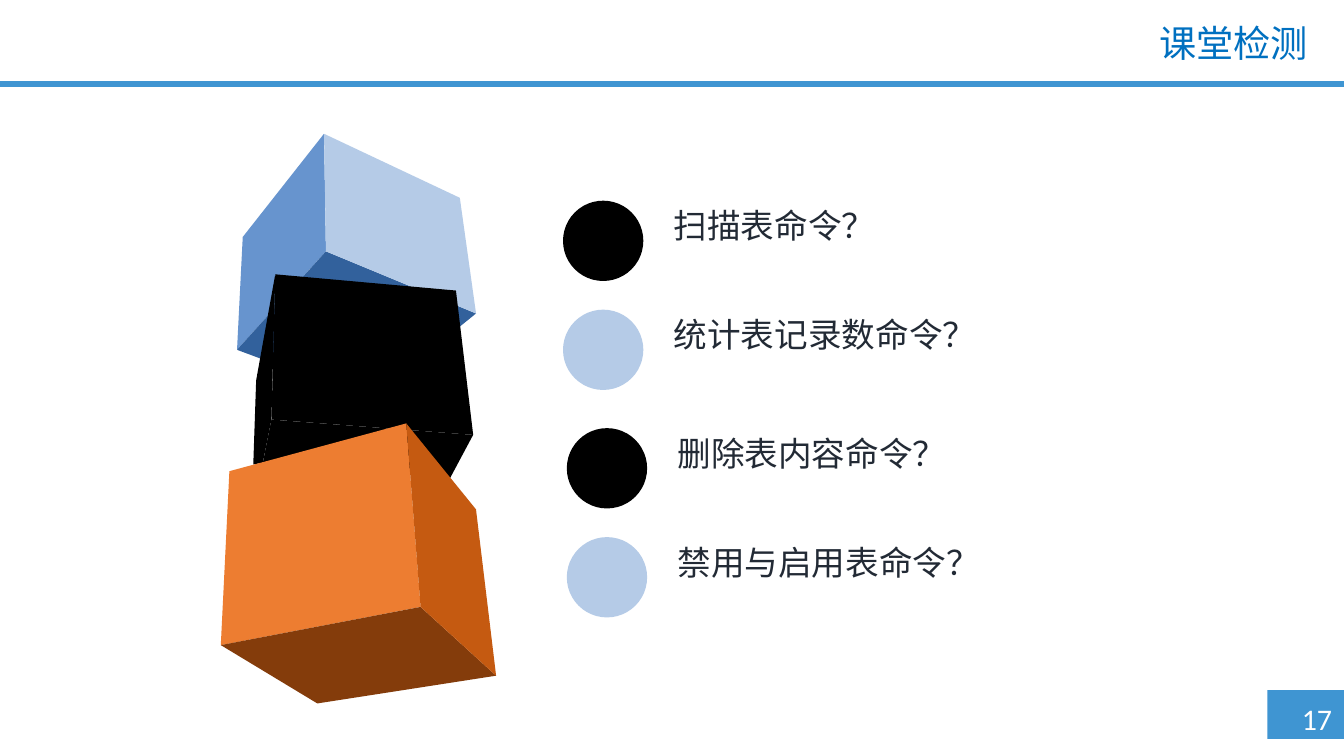
from dataclasses import dataclass

from lxml import etree
from pptx import Presentation
from pptx import util as u
from pptx.dml.color import RGBColor
from pptx.enum import shapes, text
from pptx.oxml import ns


@dataclass(frozen=True)
class Theme:
    accent: str = "3F95D2"
    title: str = "0070C0"
    ink: str = "222A35"
    white: str = "FFFFFF"
    black: str = "000000"
    pale_blue: str = "B5CBE7"
    mid_blue: str = "6794CE"
    deep_blue: str = "32619C"
    orange: str = "ED7D31"
    dark_orange: str = "C55A11"
    brown: str = "843C0B"
    title_font: str = "Noto Sans CJK SC"
    body_font: str = "Arial Narrow"
    number_font: str = "Calibri"
    title_size: float = 28
    body_size: float = 25.3
    number_size: float = 22.5


THEME = Theme()
COLS, ROWS = 14.06, 7.91  # grid of one-inch cells

# Each face: colour and corners as (column, row); cubes from back to front.
CUBE_FACES = [
    (THEME.mid_blue, [(2.48, 3.66), (2.54, 2.48), (3.39, 1.4), (3.41, 2.63)]),
    (THEME.deep_blue, [(2.48, 3.66), (3.41, 2.63), (4.98, 3.28), (3.87, 4.18)]),
    (THEME.pale_blue, [(3.41, 2.63), (3.39, 1.4), (4.81, 2.07), (4.98, 3.28)]),
    (THEME.black, [(2.65, 4.86), (2.68, 3.98), (2.88, 2.87), (2.84, 4.39), (2.75, 4.84)]),
    (THEME.black, [(2.75, 4.84), (2.84, 4.39), (4.95, 4.55), (4.71, 5)]),
    (THEME.black, [(2.84, 4.39), (2.88, 2.87), (4.77, 3.04), (4.95, 4.55)]),
    (THEME.orange, [(2.31, 6.75), (2.4, 4.93), (4.25, 4.43), (4.4, 6.35)]),
    (THEME.brown, [(2.31, 6.75), (4.4, 6.35), (5.19, 7.07), (3.32, 7.36)]),
    (THEME.dark_orange, [(4.4, 6.35), (4.25, 4.43), (4.98, 5.33), (5.19, 7.07)]),
]

# Column and row of the dot, its colour, and the question.
QUESTIONS = [
    (5.89, 2.1, THEME.black, "扫描表命令？"),
    (5.89, 3.24, THEME.pale_blue, "统计表记录数命令？"),
    (5.93, 4.48, THEME.black, "删除表内容命令？"),
    (5.93, 5.62, THEME.pale_blue, "禁用与启用表命令？"),
]
DOT_SIZE = 0.84
TEXT_OFFSET = 1.06


def grid(*cells):
    return [u.Inches(c) for c in cells]


def paint(sp, color):
    sp.shadow.inherit = False
    sp.fill.solid()
    sp.fill.fore_color.rgb = RGBColor.from_string(color)
    sp.line.fill.background()


def add_solid(slide, kind, box, color):
    paint(slide.shapes.add_shape(kind, *grid(*box)), color)


def add_face(slide, color, corners):
    start, *rest = [grid(*corner) for corner in corners]
    builder = slide.shapes.build_freeform(*start)
    builder.add_line_segments(rest, close=True)
    paint(builder.convert_to_shape(), color)


def write(tf, words, font, size, color, align=text.PP_ALIGN.LEFT):
    """Fill a text frame with one paragraph, Chinese glyphs in the title font."""
    tf.vertical_anchor = text.MSO_ANCHOR.TOP
    p = tf.paragraphs[0]
    p.text = words
    p.alignment = align
    p.font.name = font
    p.font.size = u.Pt(size)
    p.font.color.rgb = RGBColor.from_string(color)
    props = p._p.pPr.find(ns.qn("a:defRPr"))
    etree.SubElement(props, ns.qn("a:ea"), typeface=THEME.title_font)
    return p


def add_label(slide, box, words, font, size, color, wrap=True):
    tf = slide.shapes.add_textbox(*grid(*box)).text_frame
    tf.word_wrap = wrap
    write(tf, words, font, size, color)


def add_title(slide, words):
    sp = slide.shapes.title
    sp.left, sp.top, sp.width, sp.height = grid(9.47, 0.22, 4.31, 0.57)
    tf = sp.text_frame
    tf.auto_size = text.MSO_AUTO_SIZE.NONE
    p = write(tf, words, THEME.title_font, THEME.title_size, THEME.title,
              text.PP_ALIGN.RIGHT)
    p.line_spacing = 0.9


def add_page_number(slide, number):
    add_solid(slide, shapes.MSO_SHAPE.RECTANGLE, (COLS - 0.8, 7.22, 0.8, 0.51), THEME.accent)
    add_label(slide, (13.52, 7.28, 0.65, 0.48), number,
              THEME.number_font, THEME.number_size, THEME.white, wrap=False)


def add_question(slide, col, row, color, words):
    add_label(slide, (col + TEXT_OFFSET, row, 6, 0.53), words,
              THEME.body_font, THEME.body_size, THEME.ink)
    add_solid(slide, shapes.MSO_SHAPE.OVAL, (col, row, DOT_SIZE, DOT_SIZE), color)


def main():
    prs = Presentation()
    prs.slide_width, prs.slide_height = grid(COLS, ROWS)
    slide = prs.slides.add_slide(prs.slide_layouts[5])
    add_title(slide, "课堂检测")
    add_solid(slide, shapes.MSO_SHAPE.RECTANGLE, (0, 0.85, COLS, 0.06), THEME.accent)
    add_page_number(slide, "17")
    for color, corners in CUBE_FACES:
        add_face(slide, color, corners)
    for question in QUESTIONS:
        add_question(slide, *question)
    prs.save("out.pptx")


if __name__ == "__main__":
    main()
